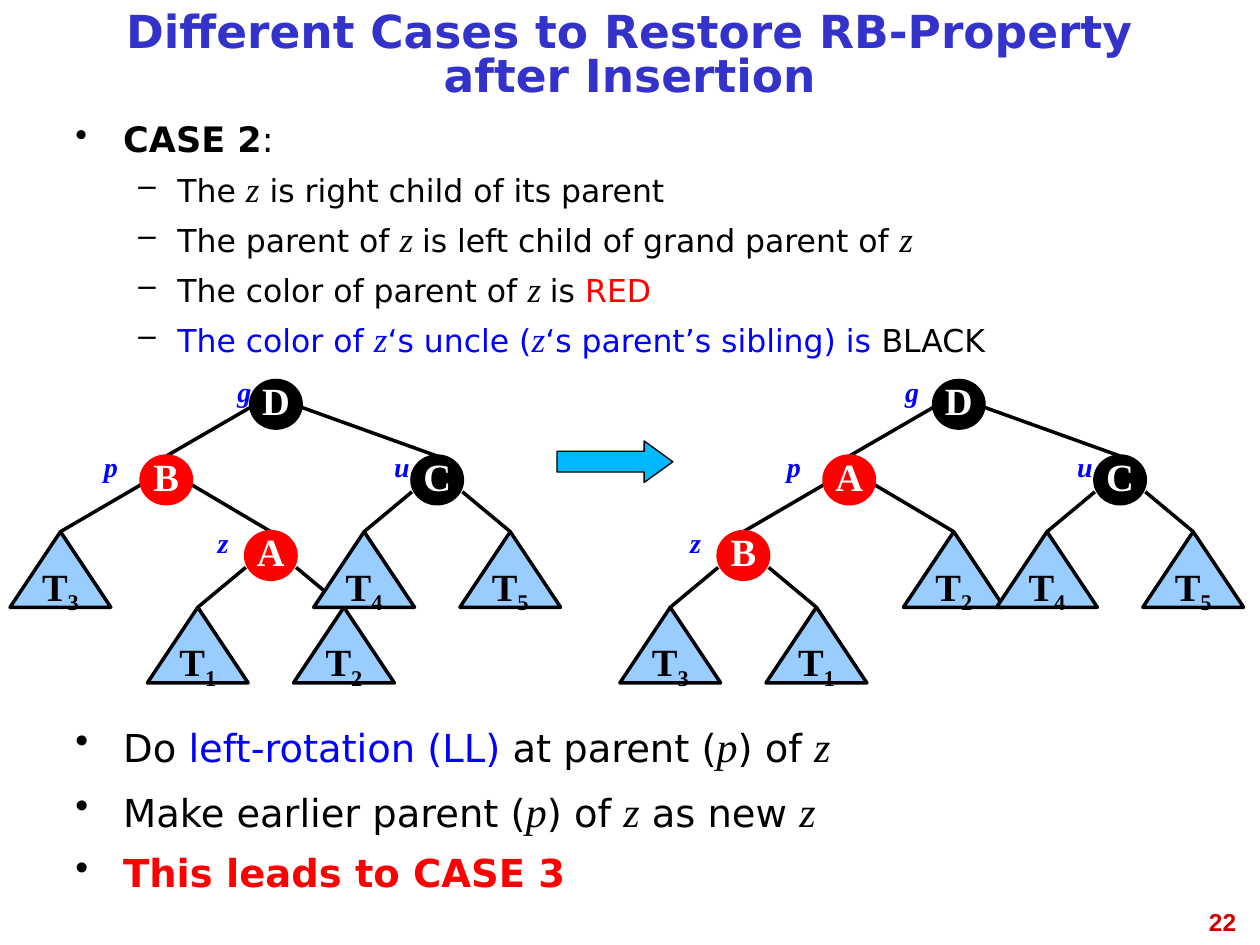
from dataclasses import dataclass

from lxml.etree import SubElement
from pptx import Presentation
from pptx.dml.color import RGBColor
from pptx.enum.shapes import MSO_CONNECTOR, MSO_SHAPE
from pptx.enum.text import MSO_ANCHOR, PP_ALIGN
from pptx.oxml.ns import qn
from pptx.util import Inches, Pt

SANS, SERIF = "DejaVu Sans", "Times New Roman"
BLACK, WHITE, RED, BLUE = "000000", "FFFFFF", "FF0000", "0000FF"
LEAF_BLUE, ARROW_BLUE, TITLE_BLUE, NUMBER_RED = "99CCFF", "00B8FF", "3333CC", "CC0000"
TREE_COLUMNS, TREE_ROWS = 22, 4
MARGIN, BODY_WIDTH = 0.5, 9


@dataclass
class Run:
    text: str
    size: float = 18
    color: str = BLACK
    bold: bool = False
    italic: bool = False
    font: str = SANS
    subscript: bool = False


@dataclass
class Node:
    """A tree node; offsets are the columns from its centre to its children's."""
    label: str
    color: str
    pointer: str
    pointer_offset: float
    children: tuple
    offsets: tuple
    edge_start: float  # share of the node's height where edges leave it


def variable(text, size=20, color=BLACK):
    return Run(text, size, color, italic=True, font=SERIF)


def rgb(color):
    return RGBColor.from_string(color)


def add_runs(paragraph, runs):
    for run in runs:
        piece = paragraph.add_run()
        piece.text = run.text
        font = piece.font
        font.name, font.size = run.font, Pt(run.size)
        font.bold, font.italic = run.bold, run.italic
        font.color.rgb = rgb(run.color)
        if run.subscript:
            font._element.set("baseline", "-25000")


def add_text(slide, box, runs, alignment=PP_ALIGN.CENTER, anchor=MSO_ANCHOR.TOP, spacing=None):
    frame = slide.shapes.add_textbox(*map(Inches, box)).text_frame
    frame.word_wrap = True
    frame.vertical_anchor = anchor
    paragraph = frame.paragraphs[0]
    paragraph.alignment, paragraph.line_spacing = alignment, spacing
    add_runs(paragraph, runs)


def set_bullet(paragraph, character, margin, hanging):
    properties = paragraph._p.get_or_add_pPr()
    properties.set("marL", str(Inches(margin)))
    properties.set("indent", str(-Inches(hanging)))
    color = SubElement(properties, qn("a:buClr"))
    SubElement(color, qn("a:srgbClr"), val=BLACK)
    SubElement(properties, qn("a:buChar"), char=character)


def add_list(slide, box, items, spacing=None):
    """Items are pairs of outline level and runs."""
    frame = slide.shapes.add_textbox(*map(Inches, box)).text_frame
    frame.word_wrap = True
    for index, (level, runs) in enumerate(items):
        paragraph = frame.add_paragraph() if index else frame.paragraphs[0]
        set_bullet(paragraph, *(("•", 0.38, 0.38), ("–", 0.81, 0.31))[level])
        paragraph.level = level
        paragraph.alignment = PP_ALIGN.JUSTIFY
        paragraph.line_spacing = spacing
        paragraph.space_before = Pt(8 - level if index else 0)
        add_runs(paragraph, runs)


def add_filled(slide, kind, box, fill, line=BLACK, width=2.0, runs=()):
    shape = slide.shapes.add_shape(kind, *map(Inches, box))
    shape.shadow.inherit = False
    shape.fill.solid()
    shape.fill.fore_color.rgb = rgb(fill)
    shape.line.color.rgb = rgb(line)
    shape.line.width = Pt(width)
    frame = shape.text_frame
    frame.word_wrap = False
    frame.vertical_anchor = MSO_ANCHOR.MIDDLE
    paragraph = frame.paragraphs[0]
    paragraph.alignment, paragraph.line_spacing = PP_ALIGN.CENTER, 0.81
    add_runs(paragraph, runs)
    return shape


def add_edge(slide, start, end):
    edge = slide.shapes.add_connector(MSO_CONNECTOR.STRAIGHT, *map(Inches, start + end))
    edge.line.color.rgb = rgb(BLACK)
    edge.line.width = Pt(2)
    SubElement(edge._element.spPr, qn("a:effectLst"))


def add_leaf(slide, center, top, column, row, number):
    runs = [Run("T", 22, bold=True, font=SERIF),
            Run(number, 22, bold=True, font=SERIF, subscript=True)]
    add_filled(slide, MSO_SHAPE.ISOSCELES_TRIANGLE,
               (center - 2 * column, top, 4 * column, row), LEAF_BLUE, runs=runs)


def add_subtree(slide, center, top, column, row, node):
    """Place a node with its top at the given point, and its children one row below."""
    if isinstance(node, str):
        add_leaf(slide, center, top, column, row, node)
        return
    height = 0.63 * row
    for child, offset in zip(node.children, node.offsets):
        side = column if offset > 0 else -column
        child_center, child_top = center + offset * column, top + row
        add_edge(slide, (center + side, top + node.edge_start * height),
                 (child_center, child_top))
        add_subtree(slide, child_center, child_top, column, row, child)
    add_filled(slide, MSO_SHAPE.OVAL, (center - column, top, 2 * column, height),
               node.color, node.color,
               runs=[Run(node.label, 22, WHITE, bold=True, font=SERIF)])
    pointer_center = center + node.pointer_offset * column
    add_text(slide, (pointer_center - 2 * column, top - row / 6, 4 * column, 0.37),
             [Run(node.pointer, 16, BLUE, bold=True, italic=True, font=SERIF)])


def add_tree(slide, box, root):
    left, top, width, height = box
    column, row = width / TREE_COLUMNS, height / TREE_ROWS
    add_subtree(slide, left + 10.55 * column, top, column, row, root)


def rotation_tree(parent, child, parent_children, child_leaves, grand_offset):
    """Root D with p at its left; the None among p's children marks where z goes."""
    z = Node(child, RED, "z", -1.9, child_leaves, (-2.9, 2.9), 0.75)
    p_children = tuple(leaf or z for leaf in parent_children)
    p = Node(parent, RED, "p", -2.2, p_children, (-4.2, 4.15), 0.6)
    uncle = Node("C", BLACK, "u", -1.4, ("4", "5"), (-2.9, 2.9), 0.75)
    return Node("D", BLACK, "g", grand_offset, (p, uncle), (-4.35, 6.4), 0.56)


def add_case_description(slide, box):
    add_list(slide, box, [
        (0, [Run("CASE 2", 20, bold=True), Run(":", 20)]),
        (1, [Run("The "), variable("z"), Run(" is right child of its parent")]),
        (1, [Run("The parent of "), variable("z "),
             Run("is left child of grand parent of "), variable("z")]),
        (1, [Run("The color of parent of "), variable("z "), Run("is "),
             Run("RED", color=RED)]),
        (1, [Run("The color of ", color=BLUE), variable("z", color=BLUE),
             Run("‘s uncle (", color=BLUE), variable("z", color=BLUE),
             Run("‘s parent’s sibling) is ", color=BLUE), Run("BLACK")]),
    ], spacing=0.9)


def add_steps(slide, box):
    p, z = variable("p", 24), variable("z", 24)
    add_list(slide, box, [
        (0, [Run("Do ", 22), Run("left-rotation (LL)", 22, BLUE),
             Run(" at parent (", 22), p, Run(") of ", 22), z]),
        (0, [Run("Make earlier parent (", 22), p, Run(") of ", 22), z,
             Run(" as new ", 22), z]),
        (0, [Run("This leads to CASE 3", 22, RED, bold=True)]),
    ])


def main():
    presentation = Presentation()
    presentation.slide_width, presentation.slide_height = Inches(10), Inches(7.5)
    slide = presentation.slides.add_slide(presentation.slide_layouts[6])
    add_text(slide, (7.58, 7.15, 2.33, 0.3),
             [Run("22", 14, NUMBER_RED, bold=True, font="Arial")], PP_ALIGN.RIGHT)
    add_text(slide, (MARGIN, 0.08, BODY_WIDTH, 0.75),
             [Run("Different Cases to Restore RB-Property after Insertion", 26,
                  TITLE_BLUE, bold=True)],
             anchor=MSO_ANCHOR.MIDDLE, spacing=0.81)
    add_case_description(slide, (MARGIN, 0.92, BODY_WIDTH, 2))
    add_steps(slide, (MARGIN, 5.67, BODY_WIDTH, 1.58))
    before = rotation_tree("B", "A", ("3", None), ("1", "2"), -1.25)
    after = rotation_tree("A", "B", (None, "2"), ("3", "1"), -1.85)
    for left, root in ((0.08, before), (5.5, after)):
        add_tree(slide, (left, 3.02, 4.4, 2.4), root)
    arrow = add_filled(slide, MSO_SHAPE.RIGHT_ARROW, (4.42, 3.5, 0.92, 0.33),
                       ARROW_BLUE, width=0.75)
    arrow.adjustments[1] = 0.69
    presentation.save("out.pptx")


if __name__ == "__main__":
    main()
